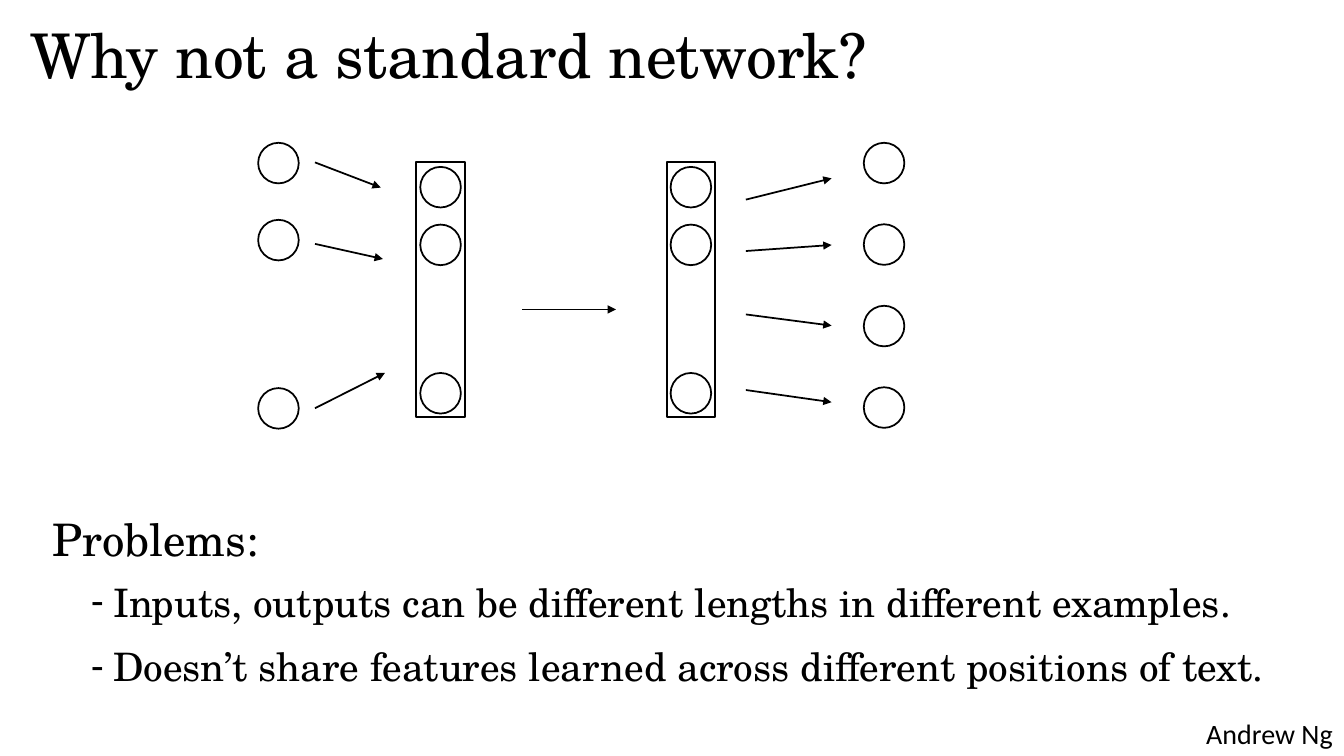
"""Builds the slide that asks why a standard network falls short."""
from dataclasses import dataclass

from lxml.etree import SubElement
from pptx import Presentation
from pptx.dml.color import RGBColor as Rgb
from pptx.enum.shapes import MSO_CONNECTOR as Link, MSO_SHAPE as Kind
from pptx.enum.text import MSO_ANCHOR as Anchor, MSO_AUTO_SIZE as Fit, PP_ALIGN as Align
from pptx.oxml.ns import qn
from pptx.util import Pt


@dataclass(frozen=True)
class Theme:
    ink: Rgb = Rgb(0, 0, 0)
    serif: str = "TeX Gyre Schola"
    sans: str = "Calibri"
    title: int = 44
    head: int = 32
    item: int = 28
    foot: int = 20
    thin: float = 1.25
    thick: float = 1.5


def assign(target, values):
    for name, value in values.items():
        setattr(target, name, value)


class Page:
    def __init__(self, slide, theme):
        self.slide, self.theme = slide, theme

    def place(self, shape, left, top, width, height):
        sides = dict(left=left, top=top, width=width, height=height)
        assign(shape, {name: Pt(size) for name, size in sides.items()})
        assign(shape.text_frame, dict(
            word_wrap=True, auto_size=Fit.NONE, vertical_anchor=Anchor.TOP))
        return shape.text_frame

    def letter(self, para, text, size, face, **form):
        para.text = text
        assign(para, dict(alignment=Align.LEFT, space_before=Pt(0)) | form)
        assign(para.font, dict(size=Pt(size), name=face))
        para.font.color.rgb = self.theme.ink

    def title(self, text, *box):
        frame = self.place(self.slide.shapes.title, *box)
        self.letter(frame.paragraphs[0], text, self.theme.title,
                    self.theme.serif, line_spacing=0.9)

    def mark(self, para, sign=None, left=0, hang=0):
        props = para._p.get_or_add_pPr()
        props.set("marL", str(Pt(left)))
        props.set("indent", str(-Pt(hang)))
        if sign:
            SubElement(props, qn("a:buChar")).set("char", sign)
        else:
            SubElement(props, qn("a:buNone"))

    def body(self, head, items, *box):
        frame = self.place(self.slide.placeholders[1], *box)
        first = frame.paragraphs[0]
        self.mark(first)
        self.letter(first, head, self.theme.head, self.theme.serif)
        for text, gap in items:
            para = frame.add_paragraph()
            self.mark(para, "-", 43.5, 16)
            self.letter(para, text, self.theme.item, self.theme.serif,
                        space_before=Pt(gap))

    def note(self, text, *box):
        frame = self.place(self.slide.shapes.add_textbox(*map(Pt, box)), *box)
        self.letter(frame.paragraphs[0], text, self.theme.foot, self.theme.sans)

    def stroke(self, shape, width):
        shape.line.color.rgb = self.theme.ink
        shape.line.width = Pt(width)

    def shape(self, kind, width, *box):
        shape = self.slide.shapes.add_shape(kind, *map(Pt, box))
        shape.shadow.inherit = False
        shape.fill.background()
        self.stroke(shape, width)

    def column(self, left, tops, size=29):
        for top in tops:
            self.shape(Kind.OVAL, self.theme.thin, left, top, size, size)

    def layer(self, left, tops):
        self.column(left, tops)
        self.shape(Kind.RECTANGLE, self.theme.thick, left - 2.8, 116, 34.6, 182.2)

    def arrow(self, *ends):
        line = self.slide.shapes.add_connector(Link.STRAIGHT, *map(Pt, ends))
        self.stroke(line, self.theme.thin)
        SubElement(line.line._get_or_add_ln(), qn("a:tailEnd")).set("type", "triangle")
        SubElement(line._element.spPr, qn("a:effectLst"))


def main():
    deck = Presentation()
    assign(deck, dict(slide_width=Pt(960), slide_height=Pt(540)))
    page = Page(deck.slides.add_slide(deck.slide_layouts[1]), Theme())
    page.note("Andrew Ng", 854.5, 508.3, 106, 31.7)
    page.title("Why not a standard network?", 14.4, 14.4, 954, 104.4)

    for left in (300.2, 479):
        page.layer(left, (119.2, 160.4, 266.4))
    page.arrow(373, 221, 440, 221)

    page.column(184.4, (102, 157, 277.2))
    for start, tip, end in ((116, 272, 134), (174.2, 273.5, 185), (291.6, 275, 266.4)):
        page.arrow(225, start, tip, end)

    page.column(617, [102 + 58.2 * row for row in range(4)])
    for start, end in ((142.6, 127.4), (179.3, 175), (224.6, 232.6), (278.6, 287.3)):
        page.arrow(532.8, start, 594, end)

    page.body("Problems:", (
        ("Inputs, outputs can be different lengths in different examples.", 8.6),
        ("Doesn’t share features learned across different positions of text.", 12.2),
    ), 30.2, 362.2, 892, 134.6)
    deck.save("out.pptx")


if __name__ == "__main__":
    main()
